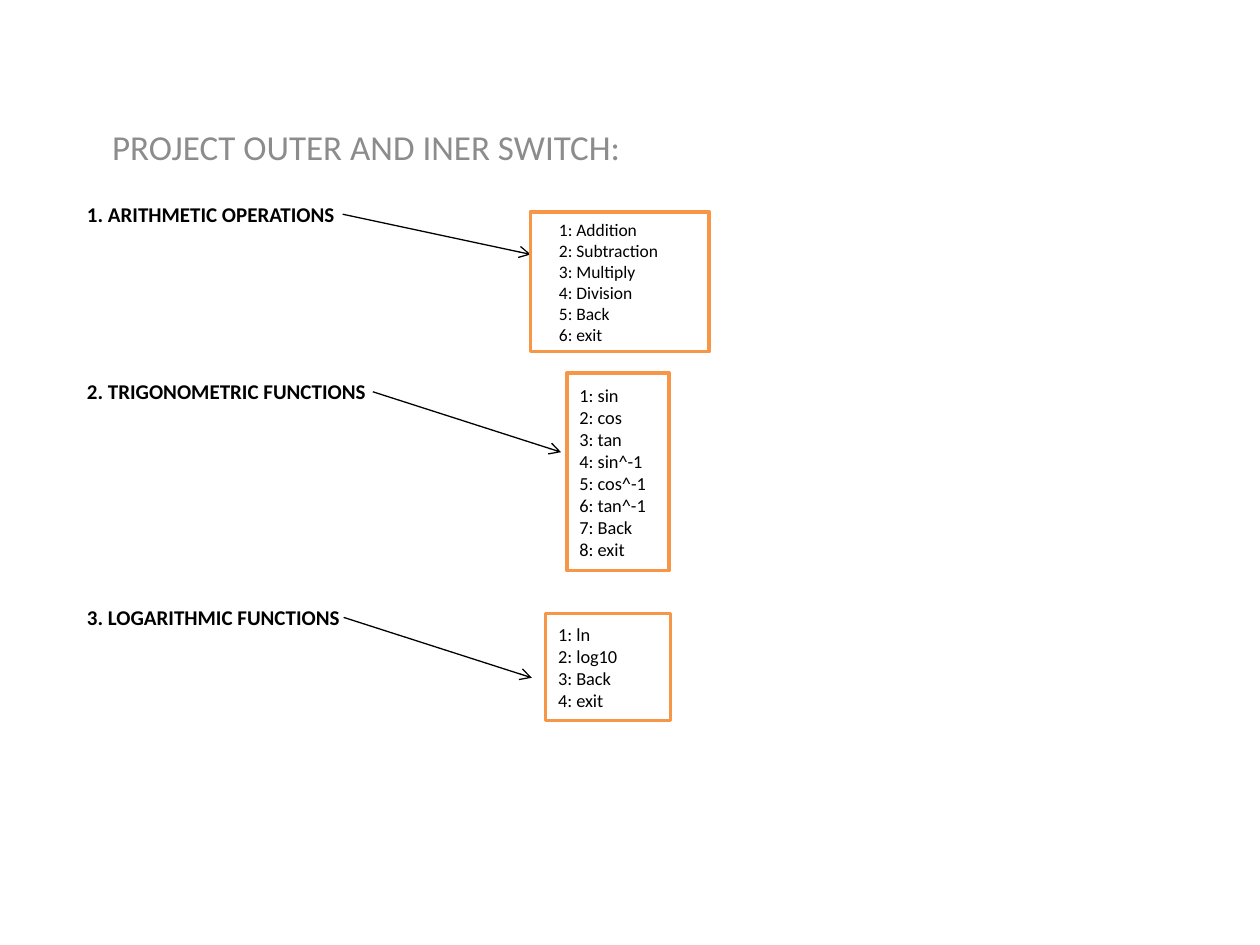
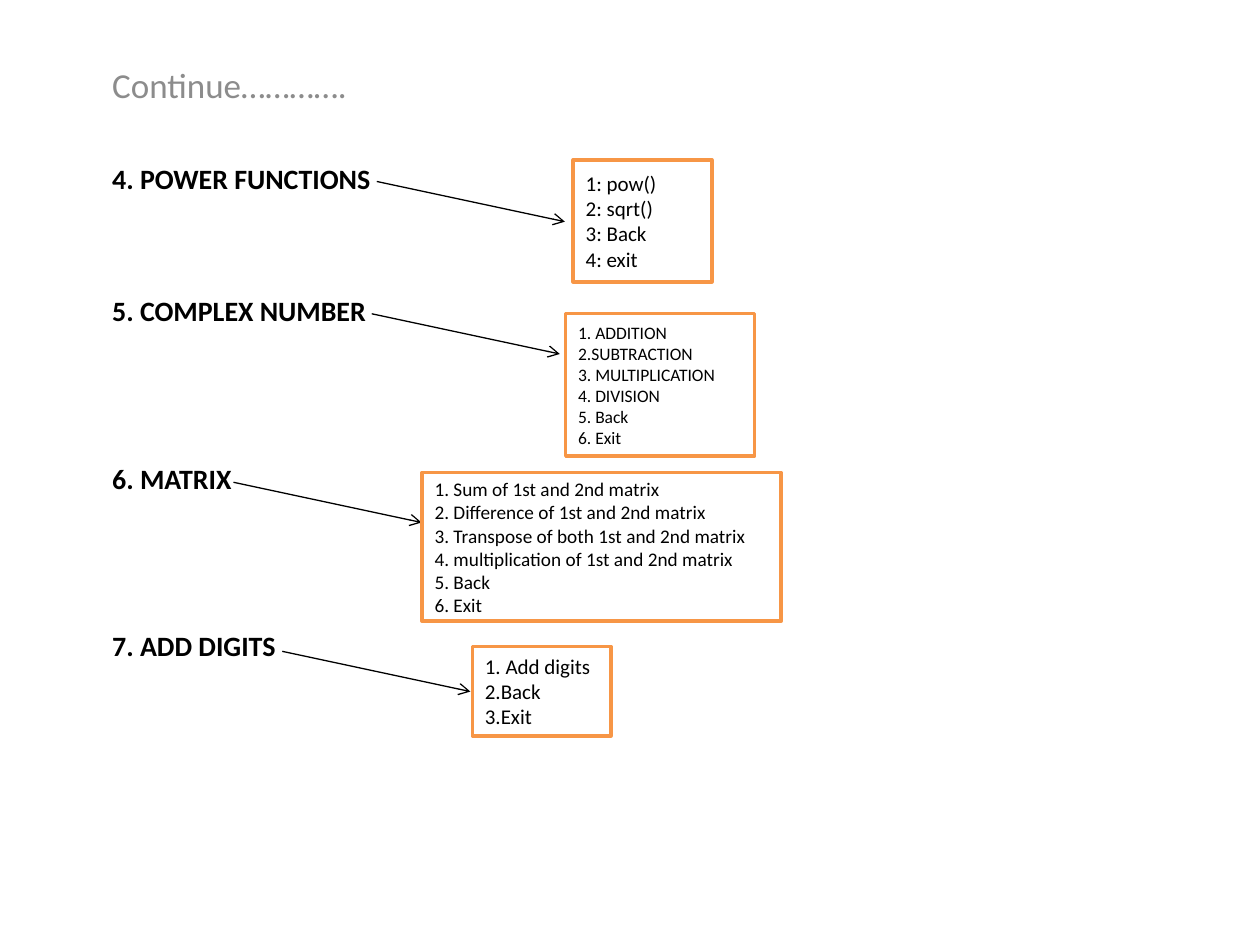
import pptx
import pptx.util
import pptx.dml.color
import pptx.enum.shapes
import pptx.enum.text
import pptx.oxml
import pptx.oxml.ns
import lxml.etree

Pt = pptx.util.Pt
Anchor = pptx.enum.text.MSO_ANCHOR
black, white, grey, orange = "000000", "FFFFFF", "8C8C8C", "F79646"
run = 107.5

pages = [
    dict(
        head="PROJECT OUTER AND INER SWITCH:",
        band=(56.9, 31.7, 612, 67.7), foot=3.6,
        area=(42.5, 111.6, 612, 374.4),
        names=["1. ARITHMETIC OPERATIONS", "2. TRIGONOMETRIC FUNCTIONS",
               "3. LOGARITHMIC FUNCTIONS"],
        size=12, gaps=[0, 86.5, 115],
        menus=[
            dict(start=(195.8, 122.4), drop=23, at=(303.1, 121, 102.2, 79.9),
                 size=10, inset=16.3,
                 items=["1: Addition", "2: Subtraction", "3: Multiply",
                        "4: Division", "5: Back", "6: exit"]),
            dict(start=(213.1, 223.9), drop=34.5, at=(324, 213.1, 58.3, 113),
                 size=10.5, inset=7.2,
                 items=["1: sin", "2: cos", "3: tan", "4: sin^-1", "5: cos^-1",
                        "6: tan^-1", "7: Back", "8: exit"]),
            dict(start=(196.4, 352.8), drop=34.5, at=(311.8, 350.6, 71.3, 61.2),
                 size=10.5, inset=7.2,
                 items=["1: ln", "2: log10", "3: Back", "4: exit"]),
        ]),
    dict(
        head="Continue………….",
        band=(56.9, 25.9, 612, 62.6), foot=28,
        area=(56.9, 88.6, 612, 391),
        names=["4. POWER FUNCTIONS", "5. COMPLEX NUMBER", "6. MATRIX", "7. ADD DIGITS"],
        size=16, gaps=[0, 56.5, 76.5, 76.5],
        menus=[
            dict(start=(215.3, 103.7), drop=23, at=(327.6, 91.4, 79.2, 69.8),
                 size=12, inset=7.2,
                 items=["1: pow()", "2: sqrt()", "3: Back", "4: exit"]),
            dict(start=(212.4, 179.3), drop=23, at=(323.3, 179.3, 108, 81.4),
                 size=10, inset=7.2,
                 items=["1. ADDITION", "2.SUBTRACTION", "3. MULTIPLICATION",
                        "4. DIVISION", "5. Back", "6. Exit"]),
            dict(start=(133.4, 275.6), drop=23, at=(241.2, 270, 205.2, 85),
                 size=11, inset=7.2,
                 items=["1. Sum of 1st and 2nd matrix",
                        "2. Difference of 1st and 2nd matrix",
                        "3. Transpose of both 1st and 2nd matrix",
                        "4. multiplication of 1st and 2nd matrix",
                        "5. Back", "6. Exit"]),
            dict(start=(161.3, 372.2), drop=23, at=(270, 369.4, 79.2, 51.1),
                 size=12, inset=7.2,
                 items=["1. Add digits", "2.Back", "3.Exit"]),
        ]),
]


def paint(form, tint):
    if hasattr(form, "solid"):
        form.solid()
        form = form.fore_color
    form.rgb = pptx.dml.color.RGBColor.from_string(tint)


def write(shape, lines, at, size, tint=black, bold=False, anchor=Anchor.TOP,
          inset=7.2, foot=3.6, gaps=None):
    shape.left, shape.top, shape.width, shape.height = map(Pt, at)
    frame = shape.text_frame
    frame.text = "\n".join(lines)
    frame.word_wrap = True
    frame.auto_size = pptx.enum.text.MSO_AUTO_SIZE.NONE
    frame.vertical_anchor = anchor
    frame.margin_left, frame.margin_bottom = Pt(inset), Pt(foot)
    for para, gap in zip(frame.paragraphs, gaps or [0] * len(lines)):
        para.alignment = pptx.enum.text.PP_ALIGN.LEFT
        para.space_before = Pt(gap)
        font = para.runs[0].font
        font.name, font.size, font.bold = "Calibri", Pt(size), bold
        paint(font.color, tint)


deck = pptx.Presentation()
deck.slide_width, deck.slide_height = Pt(720), Pt(540)

for page in pages:
    slide = deck.slides.add_slide(deck.slide_layouts[2])
    write(slide.shapes.title, page["names"], page["area"], page["size"],
          bold=True, gaps=page["gaps"])
    write(slide.placeholders[1], [page["head"]], page["band"], 20, tint=grey,
          anchor=Anchor.BOTTOM, foot=page["foot"])

    for menu in page["menus"]:
        x, y = menu["start"]
        arrow = slide.shapes.add_connector(
            pptx.enum.shapes.MSO_CONNECTOR.STRAIGHT,
            Pt(x), Pt(y), Pt(x + run), Pt(y + menu["drop"]))
        arrow.line.width = Pt(0.75)
        paint(arrow.line.fill, black)
        props = arrow._element.spPr
        tip = lxml.etree.SubElement(props.find(pptx.oxml.ns.qn("a:ln")),
                                    pptx.oxml.ns.qn("a:tailEnd"))
        tip.set("type", "arrow")
        lxml.etree.SubElement(props, pptx.oxml.ns.qn("a:effectLst"))

        box = slide.shapes.add_shape(pptx.enum.shapes.MSO_SHAPE.RECTANGLE,
                                     *map(Pt, menu["at"]))
        box.shadow.inherit = False
        paint(box.fill, white)
        paint(box.line.fill, orange)
        box.line.width = Pt(2)
        write(box, menu["items"], menu["at"], menu["size"],
              anchor=Anchor.MIDDLE, inset=menu["inset"])

deck.save("out.pptx")
